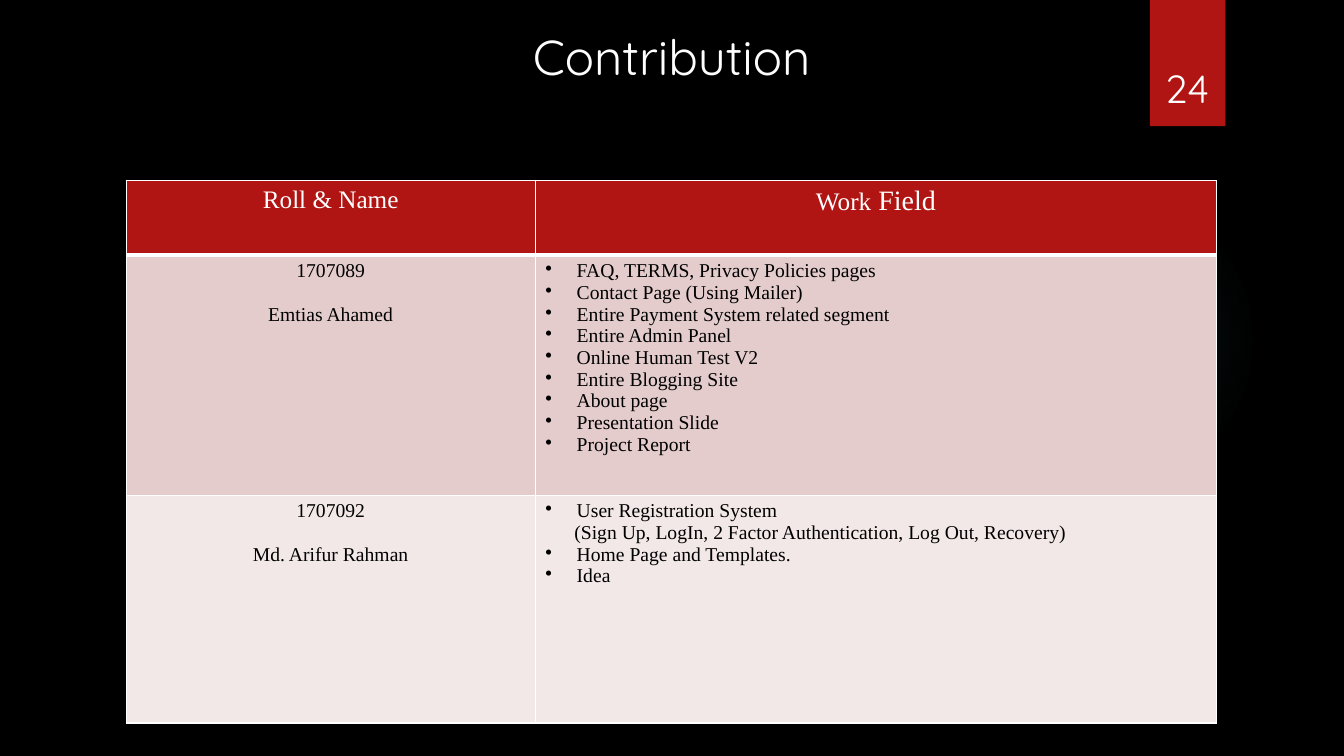
import pptx
import pptx.dml.color
import pptx.enum.shapes
import pptx.enum.text
import pptx.oxml
import pptx.oxml.ns
import pptx.util
from pptx.util import Cm, Pt

WHITE, BLACK, RED = "FFFFFF", "000000", "B01513"
DISPLAY_FONT, TABLE_FONT = "Quicksand", "Times New Roman"
BODY_SIZE = 14
TITLE, PAGE_NUMBER = "Contribution", "24"

HEADINGS = [[("Roll & Name", 18)], [("Work", 18), (" Field", 20)]]
# Each task is (text, has bullet).
MEMBERS = [
    {
        "person": ["1707089", "Emtias Ahamed"],
        "fill": "E4CCCC",
        "tasks": [
            ("FAQ, TERMS, Privacy Policies pages", True),
            ("Contact Page (Using Mailer)", True),
            ("Entire Payment System related segment", True),
            ("Entire Admin Panel", True),
            ("Online Human Test V2", True),
            ("Entire Blogging Site", True),
            ("About page", True),
            ("Presentation Slide", True),
            ("Project Report", True),
        ],
    },
    {
        "person": ["1707092", "Md. Arifur Rahman"],
        "fill": "F2E8E7",
        "tasks": [
            ("User Registration System", True),
            ("(Sign Up, LogIn, 2 Factor Authentication, Log Out, Recovery)", False),
            ("Home Page and Templates.", True),
            ("Idea", True),
        ],
    },
]
COLUMN_WIDTHS = [Cm(10.31), Cm(17.17)]
ROW_HEIGHTS = [Cm(1.88), Cm(6.05), Cm(5.74)]
GLOW_STOPS = [(0, 7), (36, 6), (69, 0)]  # position and opacity, in percent

CENTER = pptx.enum.text.PP_ALIGN.CENTER
LEFT = pptx.enum.text.PP_ALIGN.LEFT
SHAPES = pptx.enum.shapes.MSO_SHAPE
NAMESPACE = pptx.oxml.ns.nsdecls("a")


def color(value):
    return pptx.dml.color.RGBColor.from_string(value)


def paint(fill, value):
    fill.solid()
    fill.fore_color.rgb = color(value)


def add_span(para, text, size, font, value):
    span = para.add_run()
    span.text = text
    span.font.size = Pt(size)
    span.font.name = font
    span.font.color.rgb = color(value)


def next_para(frame, index, align):
    """Return the box's own first paragraph, or a new one after it."""
    para = frame.add_paragraph() if index else frame.paragraphs[0]
    para.alignment = align
    return para


def indent(para, bulleted):
    properties = para._p.get_or_add_pPr()
    if bulleted:
        properties.set("marL", str(Cm(0.79)))
        properties.set("indent", str(-Cm(0.79)))
        properties.append(pptx.oxml.parse_xml(f'<a:buChar {NAMESPACE} char="•"/>'))
    else:
        properties.set("marL", str(Cm(0.73)))


def add_plain_shape(page, kind, left, top, width, height):
    shape = page.shapes.add_shape(kind, left, top, width, height)
    shape.shadow.inherit = False
    shape.line.fill.background()
    return shape


def add_glow(page):
    glow = add_plain_shape(page, SHAPES.OVAL, Cm(23.9), Cm(4.65), Cm(7.82), Cm(7.82))
    stops = "".join(
        f'<a:gs pos="{position * 1000}"><a:srgbClr val="50B9C1">'
        f'<a:alpha val="{opacity * 1000}"/></a:srgbClr></a:gs>'
        for position, opacity in GLOW_STOPS
    )
    gradient = pptx.oxml.parse_xml(
        f'<a:gradFill {NAMESPACE}><a:gsLst>{stops}</a:gsLst><a:path path="circle">'
        '<a:fillToRect l="50000" t="50000" r="50000" b="50000"/></a:path></a:gradFill>'
    )
    outline = glow._element.spPr.find(pptx.oxml.ns.qn("a:prstGeom"))
    outline.addnext(gradient)


def add_title(page):
    title = page.shapes.title
    title.left, title.top, title.width, title.height = Cm(12.93), Cm(0.53), Cm(8), Cm(1.75)
    frame = title.text_frame
    frame.word_wrap = False
    frame.auto_size = pptx.enum.text.MSO_AUTO_SIZE.SHAPE_TO_FIT_TEXT
    frame.vertical_anchor = pptx.enum.text.MSO_ANCHOR.TOP
    add_span(next_para(frame, 0, CENTER), TITLE, 35, DISPLAY_FONT, WHITE)


def add_page_number(page):
    flag = add_plain_shape(page, SHAPES.RECTANGLE, Cm(28.98), 0, Cm(1.9), Cm(3.18))
    paint(flag.fill, RED)
    box = page.shapes.add_textbox(Cm(28.75), Cm(0.81), Cm(2.34), Cm(2.13))
    frame = box.text_frame
    frame.word_wrap = True
    frame.vertical_anchor = pptx.enum.text.MSO_ANCHOR.BOTTOM
    add_span(next_para(frame, 0, CENTER), PAGE_NUMBER, 28, DISPLAY_FONT, WHITE)


def style_cell(cell, row, fill):
    """Draw white borders, thick below the header row, then fill the cell."""
    widths = {"L": 1, "R": 1, "T": 3 if row == 1 else 1, "B": 3 if row == 0 else 1}
    for side, width in widths.items():
        cell._tc.get_or_add_tcPr().append(pptx.oxml.parse_xml(
            f'<a:ln{side} {NAMESPACE} w="{Pt(width)}"><a:solidFill>'
            f'<a:srgbClr val="{WHITE}"/></a:solidFill></a:ln{side}>'
        ))
    paint(cell.fill, fill)


def add_contributions(page):
    table = page.shapes.add_table(
        len(ROW_HEIGHTS), len(COLUMN_WIDTHS), Cm(3.18), Cm(4.55),
        sum(COLUMN_WIDTHS), sum(ROW_HEIGHTS),
    ).table
    for column, width in zip(table.columns, COLUMN_WIDTHS):
        column.width = width
    for row, height in zip(table.rows, ROW_HEIGHTS):
        row.height = height

    for column, heading in enumerate(HEADINGS):
        cell = table.cell(0, column)
        style_cell(cell, 0, RED)
        para = next_para(cell.text_frame, 0, CENTER)
        para.font.bold = False
        for text, size in heading:
            add_span(para, text, size, TABLE_FONT, WHITE)
            para.runs[-1].font.bold = False

    for row, member in enumerate(MEMBERS, start=1):
        person_cell, task_cell = table.cell(row, 0), table.cell(row, 1)
        for cell in (person_cell, task_cell):
            style_cell(cell, row, member["fill"])
        for index, text in enumerate(member["person"]):
            para = next_para(person_cell.text_frame, index, CENTER)
            if index:
                para.space_before = Pt(15.5)
            add_span(para, text, BODY_SIZE, TABLE_FONT, BLACK)
        for index, (text, bulleted) in enumerate(member["tasks"]):
            para = next_para(task_cell.text_frame, index, LEFT)
            indent(para, bulleted)
            add_span(para, text, BODY_SIZE, TABLE_FONT, BLACK)


def main():
    deck = pptx.Presentation()
    deck.slide_width, deck.slide_height = Cm(33.87), Cm(19.05)
    page = deck.slides.add_slide(deck.slide_layouts.get_by_name("Title Only"))
    paint(page.background.fill, BLACK)
    add_glow(page)
    add_page_number(page)
    add_title(page)
    add_contributions(page)
    deck.save("out.pptx")


if __name__ == "__main__":
    main()
